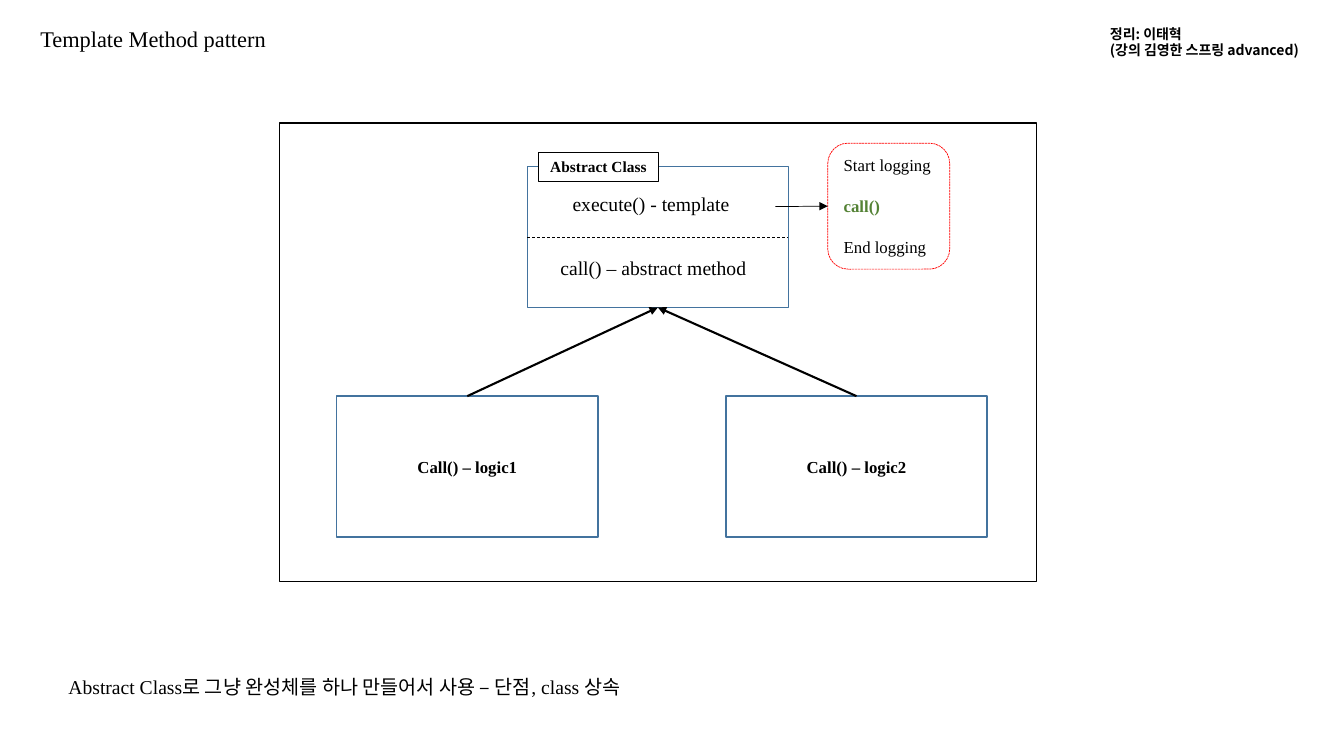
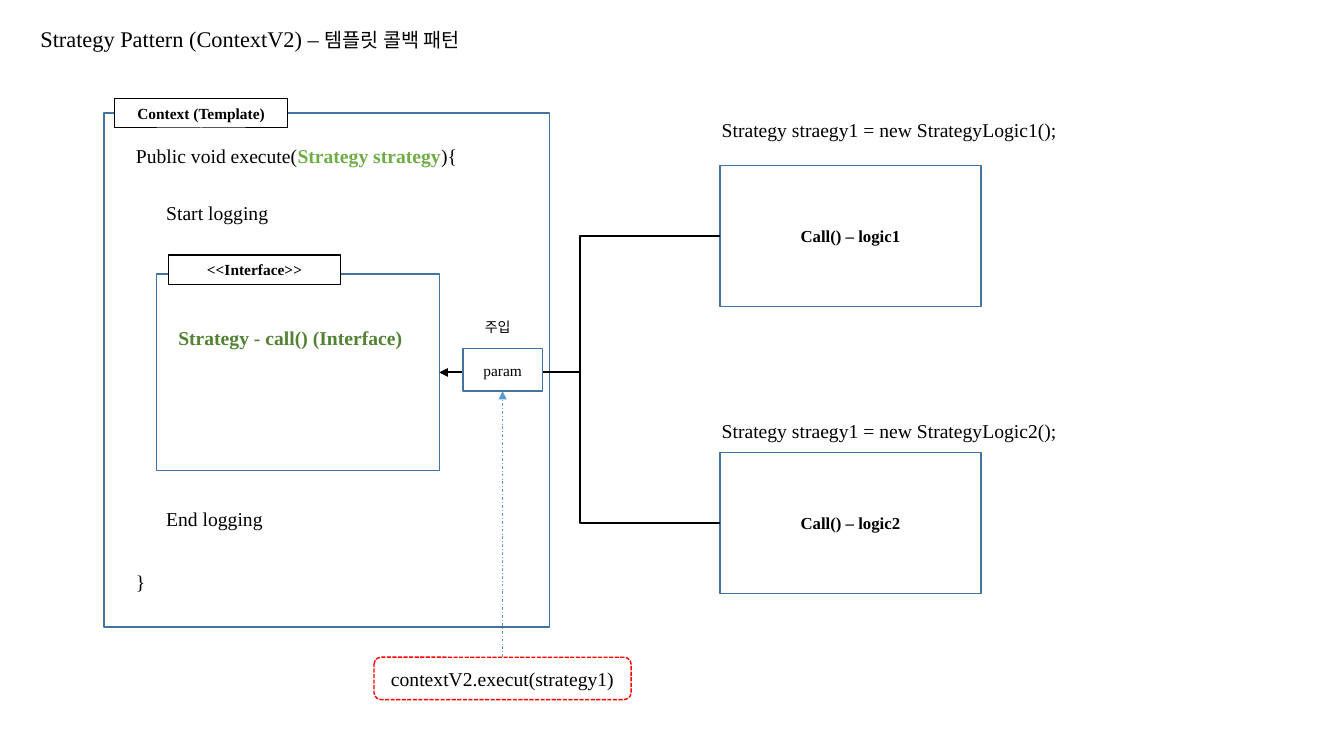
"""Builds two slides that explain the template method and strategy patterns."""
from lxml import etree
from pptx import Presentation, util as u
from pptx.dml.color import RGBColor
from pptx.enum import dml, shapes, text
from pptx.oxml.ns import qn

SERIF, KOREAN = "Times New Roman", "Noto Sans CJK KR"
BLACK, WHITE, RED = "000000", "FFFFFF", "FF0000"
BLUE, SKY, GREEN, LIME = "43739E", "5B9BD5", "548235", "70AD47"
TOP, LEFT, BOTTOM, RIGHT = range(4)
DASH = dml.MSO_LINE
RECT, ROUNDED = shapes.MSO_SHAPE.RECTANGLE, shapes.MSO_SHAPE.ROUNDED_RECTANGLE
STRAIGHT, ELBOW = shapes.MSO_CONNECTOR.STRAIGHT, shapes.MSO_CONNECTOR.ELBOW
CENTER, START = text.PP_ALIGN.CENTER, text.PP_ALIGN.LEFT
LOGIC_SIZE = (2.59, 1.4)

TEMPLATE_TITLE = ["Template Method pattern"]
TEMPLATE_NOTES = [
    (["Abstract Class로 그냥 완성체를 하나 만들어서 사용 – 단점, class 상속"],
     (0.58, 6.65, 6.39, 0.34), {}),
    (["정리: 이태혁", "(강의 김영한 스프링 advanced)"],
     (10.91, 0.2, 2.19, 0.44), dict(size=10, font=KOREAN, bold=True)),
    (["execute() - template"], (5.58, 1.86, 1.88, 0.34), {}),
    (["call() – abstract method"], (5.46, 2.49, 2.13, 0.34), {}),
]
LOG_STEPS = ["Start logging", [("call()", dict(color=GREEN, bold=True))], "End logging"]
SUBCLASSES = [("Call() – logic1", 3.34, 3.93), ("Call() – logic2", 7.2, 3.93)]

STRATEGY_TITLE = [["Strategy Pattern (ContextV2) – ", ("템플릿 콜백 패턴", dict(size=14))]]
EXECUTE_CODE = [
    ["Public void execute(", ("Strategy strategy", dict(color=LIME, bold=True)), "){"],
    "}",
]
STRATEGY_NOTES = [
    (EXECUTE_CODE, (1.25, 1.38, 3.57, 4.58), dict(gap=287)),
    (["Start logging"], (1.55, 1.94, 2.81, 0.34), {}),
    (["End logging"], (1.55, 4.98, 1.3, 0.34), {}),
    (["Strategy - call() (Interface)"], (1.67, 3.18, 2.6, 0.34), dict(color=GREEN, bold=True)),
    (["Strategy straegy1 = new StrategyLogic1();"], (7.06, 1.12, 3.84, 0.34), {}),
    (["Strategy straegy1 = new StrategyLogic2();"], (7.06, 4.11, 3.84, 0.34), {}),
    (["주입"], (4.64, 3.11, 0.59, 0.27), dict(size=10, font=KOREAN, align=CENTER)),
]
STRATEGIES = [("Call() – logic1", 7.14, 1.64), ("Call() – logic2", 7.14, 4.49)]


def rgb(value):
    return RGBColor.from_string(value)


def inches(values):
    return [u.Inches(value) for value in values]


def write(target, paragraphs, size=14, font=SERIF, color=BLACK, bold=False,
          align=START, anchor=text.MSO_ANCHOR.TOP, gap=0):
    frame = target.text_frame
    frame.word_wrap = True
    frame.auto_size = text.MSO_AUTO_SIZE.NONE
    frame.vertical_anchor = anchor
    for index, pieces in enumerate(paragraphs):
        paragraph = frame.add_paragraph() if index else frame.paragraphs[0]
        paragraph.alignment = align
        paragraph.space_before = u.Pt(gap if index else 0)
        for piece in [pieces] if isinstance(pieces, str) else pieces:
            words, changes = (piece, {}) if isinstance(piece, str) else piece
            look = dict(size=size, color=color, bold=bold) | changes
            run = paragraph.add_run()
            run.text = words
            run.font.name = font
            run.font.size = u.Pt(look["size"])
            run.font.bold = look["bold"]
            run.font.color.rgb = rgb(look["color"])
            etree.SubElement(run._r.get_or_add_rPr(), qn("a:ea"), typeface=KOREAN)


def add_slide(deck, title, width, notes):
    slide = deck.slides.add_slide(deck.slide_layouts[5])
    heading = slide.shapes.title
    heading.left, heading.top, heading.width, heading.height = inches((0.3, 0.2, width, 0.37))
    write(heading, title, size=16)
    for paragraphs, place, look in notes:
        write(slide.shapes.add_textbox(*inches(place)), paragraphs, **look)
    return slide


def style_line(line, color, width, dash=None):
    line.color.rgb = rgb(color)
    line.width = u.Pt(width)
    if dash:
        line.dash_style = dash


def box(slide, place, words=None, kind=RECT, fill=None, line=BLUE, weight=1, dash=None, **look):
    outline = slide.shapes.add_shape(kind, *inches(place))
    outline.shadow.inherit = False
    if fill:
        outline.fill.solid()
        outline.fill.fore_color.rgb = rgb(fill)
    else:
        outline.fill.background()
    style_line(outline.line, line, weight, dash)
    if words:
        write(outline, words, **(dict(align=CENTER, anchor=text.MSO_ANCHOR.MIDDLE) | look))
    return outline


def tag(slide, words, left, top, width):
    box(slide, (left, top, width, 0.29), [words], fill=WHITE, line=BLACK, weight=0.75,
        size=11, bold=True)


def logic_boxes(slide, entries):
    return [box(slide, (left, top, *LOGIC_SIZE), [words], size=12, bold=True)
            for words, left, top in entries]


def connect(slide, start, end, kind=STRAIGHT, color=BLACK, weight=1.5, dash=None, arrow=True):
    """Joins two ends, each an (x, y) point in inches or a (shape, side) pair."""
    link = slide.shapes.add_connector(kind, 0, 0, 0, 0)
    if hasattr(start[0], "shape_id"):
        link.begin_connect(*start)
    else:
        link.begin_x, link.begin_y = inches(start)
    if hasattr(end[0], "shape_id"):
        link.end_connect(*end)
    else:
        link.end_x, link.end_y = inches(end)
    style_line(link.line, color, weight, dash)
    if arrow:
        etree.SubElement(link.line._get_or_add_ln(), qn("a:tailEnd"), type="triangle")
    etree.SubElement(link._element.spPr, qn("a:effectLst"))


def template_slide(deck):
    slide = add_slide(deck, TEMPLATE_TITLE, 2.94, TEMPLATE_NOTES)
    box(slide, (2.77, 1.22, 7.51, 4.55), line=BLACK)
    abstract_class = box(slide, (5.23, 1.65, *LOGIC_SIZE))
    tag(slide, "Abstract Class", 5.34, 1.51, 1.19)
    connect(slide, (5.23, 2.35), (7.82, 2.35), weight=0.5, dash=DASH.DASH, arrow=False)
    log = box(slide, (8.21, 1.42, 1.21, 1.25), LOG_STEPS, kind=ROUNDED, line=RED, weight=0.5,
              dash=DASH.SQUARE_DOT, size=12, align=START, gap=15)
    connect(slide, (7.69, 2.05), (log, LEFT), weight=0.5)
    for subclass in logic_boxes(slide, SUBCLASSES):
        connect(slide, (subclass, TOP), (abstract_class, BOTTOM))


def strategy_slide(deck):
    slide = add_slide(deck, STRATEGY_TITLE, 4.93, STRATEGY_NOTES)
    box(slide, (1.03, 1.12, 4.42, 5.1))
    tag(slide, "Context (Template)", 1.14, 0.98, 1.71)
    interface = box(slide, (1.55, 2.72, 2.81, 1.95))
    tag(slide, "<<Interface>>", 1.67, 2.53, 1.71)
    for strategy in logic_boxes(slide, STRATEGIES):
        connect(slide, (strategy, LEFT), (interface, RIGHT), kind=ELBOW)
    param = box(slide, (4.59, 3.46, 0.79, 0.42), ["param"], fill=WHITE, size=11)
    caller = box(slide, (3.71, 6.52, 2.55, 0.42), ["contextV2.execut(strategy1)"], kind=ROUNDED,
                 line=RED, dash=DASH.SQUARE_DOT)
    connect(slide, (caller, TOP), (param, BOTTOM), color=SKY, weight=0.5, dash=DASH.DASH_DOT)


def main():
    deck = Presentation()
    deck.slide_width, deck.slide_height = inches((13.33, 7.5))
    template_slide(deck)
    strategy_slide(deck)
    deck.save("out.pptx")


if __name__ == "__main__":
    main()
